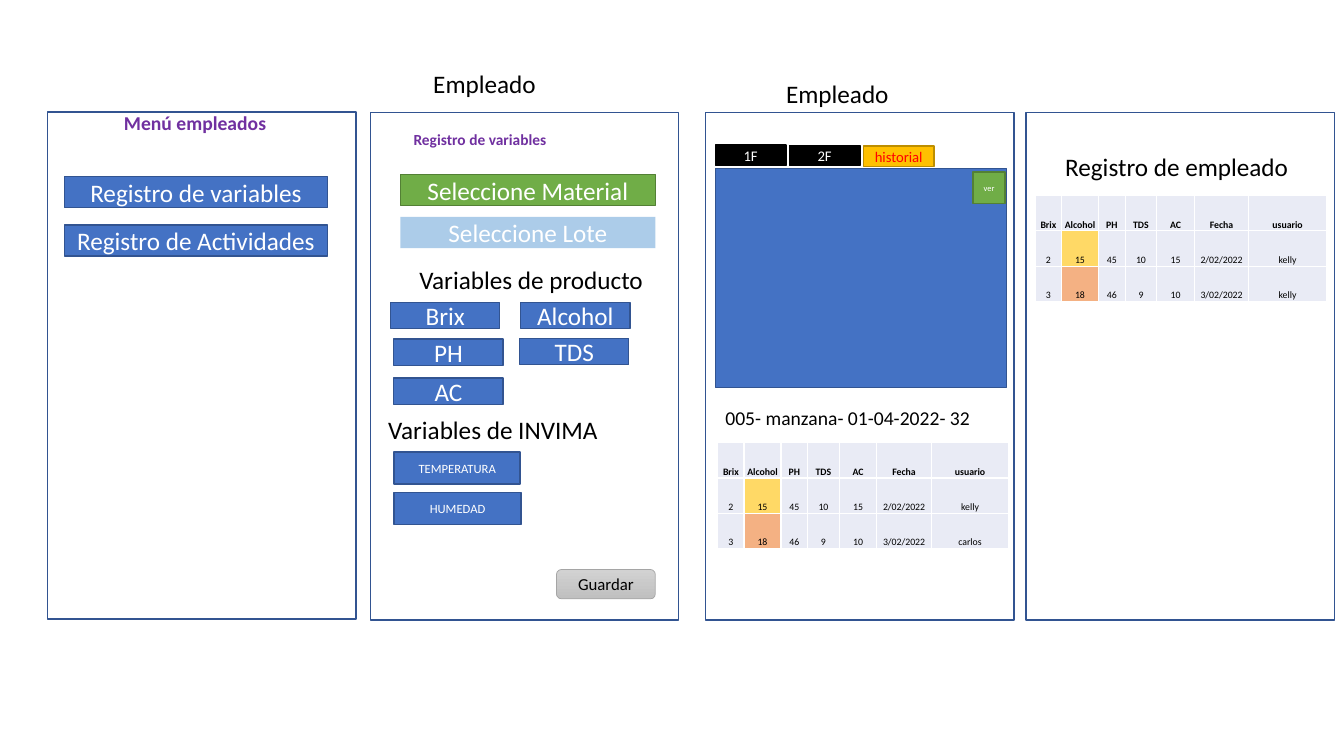
"""Build the slide with the four employee screens of a variable-recording app."""
from typing import NamedTuple, Optional

from lxml import etree
from pptx import Presentation
from pptx.dml.color import RGBColor
from pptx.enum.shapes import MSO_SHAPE
from pptx.enum.text import MSO_ANCHOR, PP_ALIGN
from pptx.oxml import parse_xml
from pptx.oxml.ns import nsdecls, qn
from pptx.util import Pt

RECT, ROUNDED = MSO_SHAPE.RECTANGLE, MSO_SHAPE.ROUNDED_RECTANGLE
LEFT, CENTER = PP_ALIGN.LEFT, PP_ALIGN.CENTER
MIDDLE, BOTTOM = MSO_ANCHOR.MIDDLE, MSO_ANCHOR.BOTTOM

FONT = "Calibri"
BLACK, WHITE, PURPLE, RED = "000000", "FFFFFF", "7030A0", "FF0000"
BLUE, NAVY, GREEN, DARK_GREEN = "4472C4", "325491", "70AD47", "538035"
PANEL_WIDTH, PANEL_HEIGHT = 220.3, 362.2
COLUMN_WIDTHS = (18.6, 26.5, 19, 22.7, 26.8, 38.9, 55.4)
ROW_HEIGHT = 25.2
CELL_FILL = "E9EBF5"
ALCOHOL_COLUMN = 1
ALCOHOL_FILLS = (CELL_FILL, "FFD966", "F4B183")


class Box(NamedTuple):
    """A filled or outlined shape with an optional centred label."""
    left: float
    top: float
    width: float
    height: float
    label: str = ""
    size: float = 18
    fill: Optional[str] = BLUE
    line: Optional[str] = NAVY
    color: str = WHITE
    alpha: int = 100


class Caption(NamedTuple):
    """A line of free text."""
    left: float
    top: float
    width: float
    height: float
    text: str
    size: float = 18
    color: str = BLACK
    bold: bool = False
    align: PP_ALIGN = LEFT
    wrap: bool = False


PANELS = [Box(left, top, PANEL_WIDTH, PANEL_HEIGHT, fill=None)
          for left, top in ((34, 79.9), (264.5, 80.6), (504, 80.6), (733, 80.6))]

BUTTONS = [
    Box(46, 126, 188, 22.3, "Registro de variables"),
    Box(46, 160.6, 188, 22.3, "Registro de Actividades"),
    Box(286, 124.6, 182.2, 22.3, "Seleccione Material", fill=GREEN, line=DARK_GREEN),
    Box(286, 155, 182.2, 22.3, "Seleccione Lote", fill="5B9BD5", line=None, alpha=50),
    *(Box(left, top, 78, 18.8, label) for left, top, label in (
        (279, 216, "Brix"), (372, 216, "Alcohol"),
        (281.3, 242.2, "PH"), (371.2, 241.7, "TDS"), (281.3, 270, "AC"))),
    Box(281.5, 322.8, 90, 23, "TEMPERATURA", 9),
    Box(281.5, 351.7, 90.7, 23, "HUMEDAD", 9),
    Box(511, 120.2, 208, 156.5),
    Box(511, 103.5, 50.4, 14.6, "1F", 10.5, BLACK, BLACK),
    Box(563.8, 103.9, 50.4, 14.4, "2F", 10.5, BLACK, BLACK),
    Box(616.8, 104.4, 50.4, 14.4, "historial", 10.5, "FFC000", "BD8E00", RED),
    Box(695, 123, 23, 22.3, "ver", 6, GREEN, DARK_GREEN),
]
SAVE_BUTTON = Box(397.5, 406.8, 70.6, 20.9, "Guardar", 12, None, "A5A5A5", BLACK)

CAPTIONS = [
    Caption(81.4, 75.6, 116.6, 24.5, "Menú empleados", 14, PURPLE, True),
    Caption(285.8, 89.3, 116.6, 20.9, " Registro de variables", 11, PURPLE, True),
    Caption(302.4, 45.4, 88.6, 28.8, "Empleado"),
    Caption(554.4, 52.6, 88.6, 28.8, "Empleado"),
    Caption(281.5, 185, 195.8, 28.8, "Variables de producto", align=CENTER, wrap=True),
    Caption(256.3, 292.7, 195.8, 28.8, "Variables de INVIMA ", align=CENTER, wrap=True),
    Caption(511, 286.6, 190.8, 24.5, "005- manzana- 01-04-2022- 32", 14),
    Caption(753.8, 104.4, 175.7, 28.8, "Registro de empleado"),
]


def rgb(color: str) -> RGBColor:
    """Turn a hex string into a colour."""
    return RGBColor.from_string(color)


def format_text(frame, size: float, color: str, bold: bool, align: PP_ALIGN) -> None:
    """Apply one style to all the text of a frame."""
    for paragraph in frame.paragraphs:
        paragraph.alignment = align
        for run in paragraph.runs:
            run.font.name, run.font.size, run.font.bold = FONT, Pt(size), bold
            run.font.color.rgb = rgb(color)


def draw_box(slide, box: Box, preset: MSO_SHAPE = RECT):
    """Draw a box and its label, and return the shape."""
    shape = slide.shapes.add_shape(preset, *map(Pt, box[:4]))
    shape.shadow.inherit = False
    if box.fill:
        shape.fill.solid()
        shape.fill.fore_color.rgb = rgb(box.fill)
        if box.alpha < 100:
            fill_color = shape.fill._xPr.find(".//" + qn("a:srgbClr"))
            etree.SubElement(fill_color, qn("a:alpha"), val=str(box.alpha * 1000))
    else:
        shape.fill.background()
    if box.line:
        shape.line.color.rgb = rgb(box.line)
        shape.line.width = Pt(1)
    else:
        shape.line.fill.background()
    if box.label:
        frame = shape.text_frame
        frame.text = box.label
        frame.margin_left = frame.margin_right = 0
        frame.vertical_anchor = MIDDLE
        format_text(frame, box.size, box.color, False, CENTER)
    return shape


def draw_save_button(slide, box: Box) -> None:
    """Draw the rounded button with its grey gradient."""
    button = draw_box(slide, box, ROUNDED)
    button.line.width = Pt(0.5)
    button.fill.gradient()
    button.fill.gradient_angle = 270
    for stop, color, position in zip(button.fill.gradient_stops, ("D2D2D2", "C0C0C0"), (0, 1)):
        stop.color.rgb = rgb(color)
        stop.position = position


def draw_caption(slide, caption: Caption) -> None:
    """Draw a line of free text."""
    frame = slide.shapes.add_textbox(*map(Pt, caption[:4])).text_frame
    frame.word_wrap = caption.wrap
    frame.text = caption.text
    format_text(frame, caption.size, caption.color, caption.bold, caption.align)


def draw_records(slide, left: float, top: float, last_user: str) -> None:
    """Draw the table of recorded variables."""
    records = (("Brix", "Alcohol", "PH", "TDS", "AC", "Fecha", "usuario"),
               ("2", "15", "45", "10", "15", "2/02/2022", "kelly"),
               ("3", "18", "46", "9", "10", "3/02/2022", last_user))
    table = slide.shapes.add_table(
        len(records), len(COLUMN_WIDTHS), Pt(left), Pt(top),
        Pt(sum(COLUMN_WIDTHS)), Pt(ROW_HEIGHT * len(records))).table
    for column, width in zip(table.columns, COLUMN_WIDTHS):
        column.width = Pt(width)
    for row_index, record in enumerate(records):
        table.rows[row_index].height = Pt(ROW_HEIGHT)
        for column_index, value in enumerate(record):
            cell = table.cell(row_index, column_index)
            cell.text_frame.text = value
            cell.margin_left = cell.margin_right = cell.margin_top = Pt(0.7)
            cell.margin_bottom = 0
            cell.vertical_anchor = BOTTOM
            format_text(cell.text_frame, 7, BLACK, row_index == 0, CENTER)
            for side in "LRTB":
                cell._tc.get_or_add_tcPr().append(parse_xml(
                    f'<a:ln{side} {nsdecls("a")} w="{Pt(1)}"><a:solidFill>'
                    f'<a:srgbClr val="{WHITE}"/></a:solidFill></a:ln{side}>'))
            cell.fill.solid()
            is_alcohol = column_index == ALCOHOL_COLUMN
            cell.fill.fore_color.rgb = rgb(ALCOHOL_FILLS[row_index] if is_alcohol else CELL_FILL)


def main() -> None:
    """Build the slide and save it."""
    deck = Presentation()
    deck.slide_width, deck.slide_height = Pt(960), Pt(540)
    slide = deck.slides.add_slide(deck.slide_layouts[6])
    for box in PANELS + BUTTONS:
        draw_box(slide, box)
    draw_save_button(slide, SAVE_BUTTON)
    for caption in CAPTIONS:
        draw_caption(slide, caption)
    draw_records(slide, 512.8, 316.2, "carlos")
    draw_records(slide, 739.6, 139.7, "kelly")
    deck.save("out.pptx")


main()
